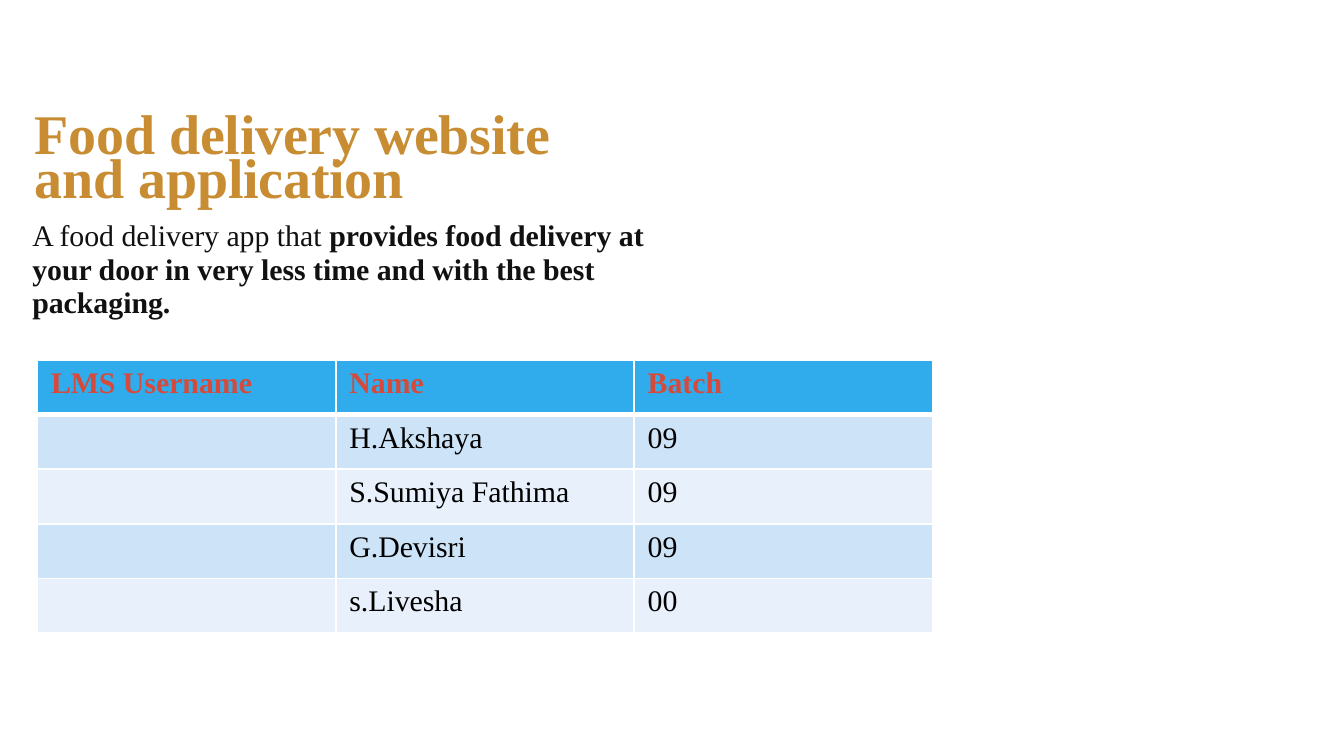
import pptx
import pptx.util
import pptx.dml.color
import pptx.enum.text
import pptx.oxml
import pptx.oxml.ns

Inches, Pt = pptx.util.Inches, pptx.util.Pt
FONT = "Times New Roman"
ROWS = [
    ("LMS Username", "Name", "Batch"),
    ("", "H.Akshaya", "09"),
    ("", "S.Sumiya Fathima", "09"),
    ("", "G.Devisri", "09"),
    ("", "s.Livesha", "00"),
]


def color(code):
    """Turn a hex string into a colour."""
    return pptx.dml.color.RGBColor.from_string(code)


def write(para, text, size=16, ink="000000", bold=False, gap=None):
    """Add a formatted run; gap is letter spacing in points."""
    run = para.add_run()
    run.text = text
    font = run.font
    font.name, font.size, font.bold = FONT, Pt(size), bold
    font.color.rgb = color(ink)
    if gap is not None:
        run._r.get_or_add_rPr().set("spc", str(round(gap * 100)))


def block(slide, left, top, width, height, pitch):
    """Add a text box without margins and return its paragraph."""
    box = slide.shapes.add_textbox(
        Inches(left), Inches(top), Inches(width), Inches(height))
    frame = box.text_frame
    frame.word_wrap = True
    frame.auto_size = pptx.enum.text.MSO_AUTO_SIZE.SHAPE_TO_FIT_TEXT
    frame.margin_left = frame.margin_right = 0
    frame.margin_top = frame.margin_bottom = 0
    para = frame.paragraphs[0]
    para.line_spacing = Pt(pitch)
    return para


def intro(slide, left, top):
    """Place the title and the summary below it."""
    title = block(slide, left + 0.02, top, 4.51, 0.67, 23.9)
    write(title, "Food delivery website and application",
          size=30, ink="C88C32", bold=True, gap=-0.1)
    para = block(slide, left, top + 0.73, 4.99, 0.76, 18)
    write(para, "A food delivery app that", ink="111111")
    write(para, "\u00a0provides food delivery at your door in very less time "
          "and with the best packaging.\u00a0", ink="111111", bold=True)


def edge(cell, sides):
    """Draw white cell borders from a mapping of side to points."""
    props = cell._tc.get_or_add_tcPr()
    space = pptx.oxml.ns.nsdecls("a")
    for spot, (side, width) in enumerate(sides.items()):
        props.insert(spot, pptx.oxml.parse_xml(
            f'<a:ln{side} {space} w="{Pt(width)}"><a:solidFill>'
            f'<a:srgbClr val="FFFFFF"/></a:solidFill></a:ln{side}>'))


def roster(slide, left, top, width, height):
    """Place the team table with a blue head and banded rows."""
    table = slide.shapes.add_table(
        len(ROWS), len(ROWS[0]), Inches(left), Inches(top),
        Inches(width), Inches(height)).table
    for r, row in enumerate(ROWS):
        head = r == 0
        fill = "30ACEC" if head else ("E8F1FB", "CDE3F8")[r % 2]
        for c, text in enumerate(row):
            cell = table.cell(r, c)
            cell.fill.solid()
            cell.fill.fore_color.rgb = color(fill)
            edge(cell, {"L": 1, "R": 1, "T": 3 if r == 1 else 1,
                        "B": 3 if head else 1})
            if text:
                write(cell.text_frame.paragraphs[0], text, bold=head,
                      ink="D64A3B" if head else "000000")


def main():
    """Build the 16:9 slide and save it."""
    deck = pptx.Presentation()
    deck.slide_width = Inches(10)
    deck.slide_height = deck.slide_width * 9 // 16
    slide = deck.slides.add_slide(deck.slide_layouts[6])
    intro(slide, 0.24, 0.9)
    roster(slide, 0.28, 2.68, 6.66, 2.03)
    deck.save("out.pptx")


main()
